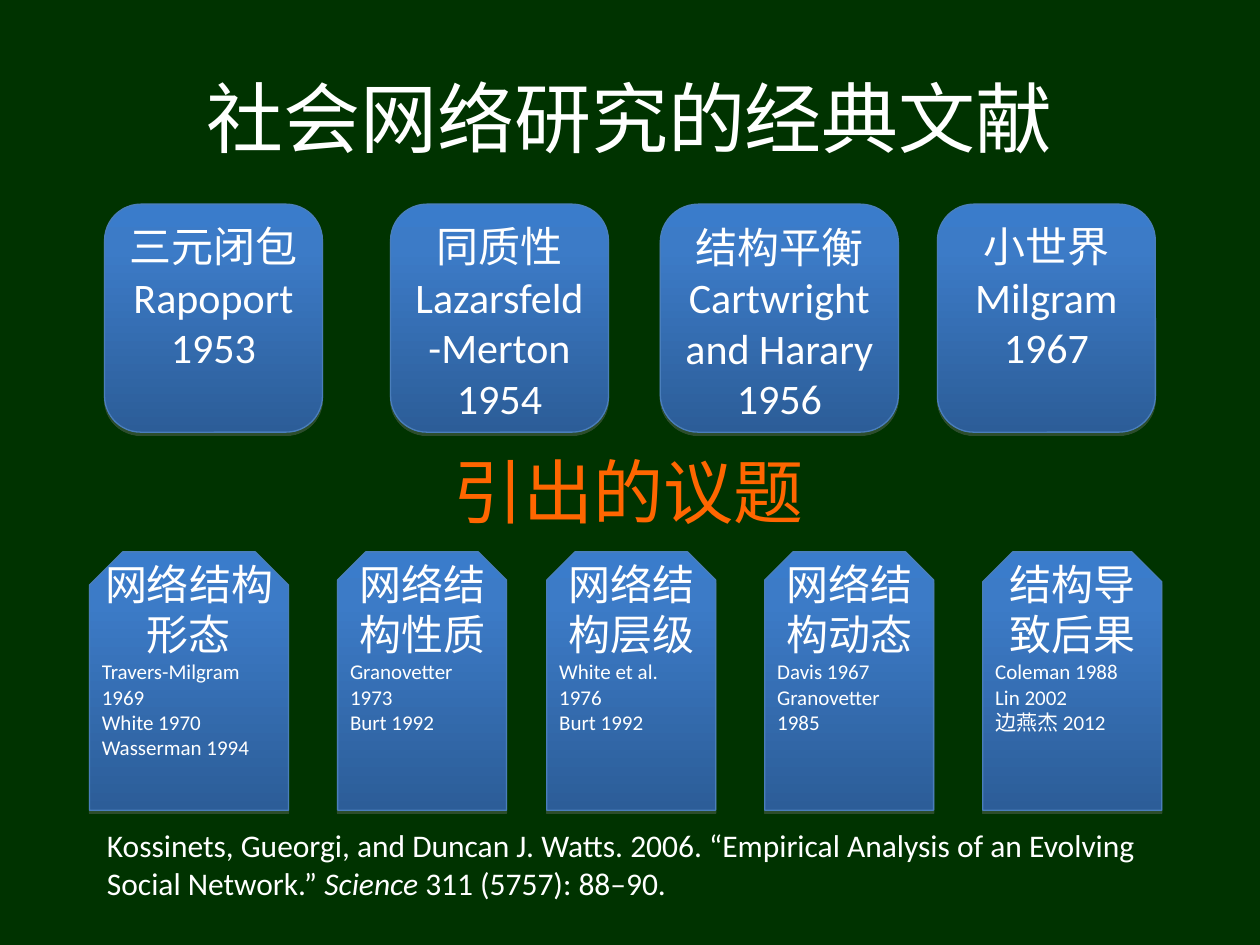
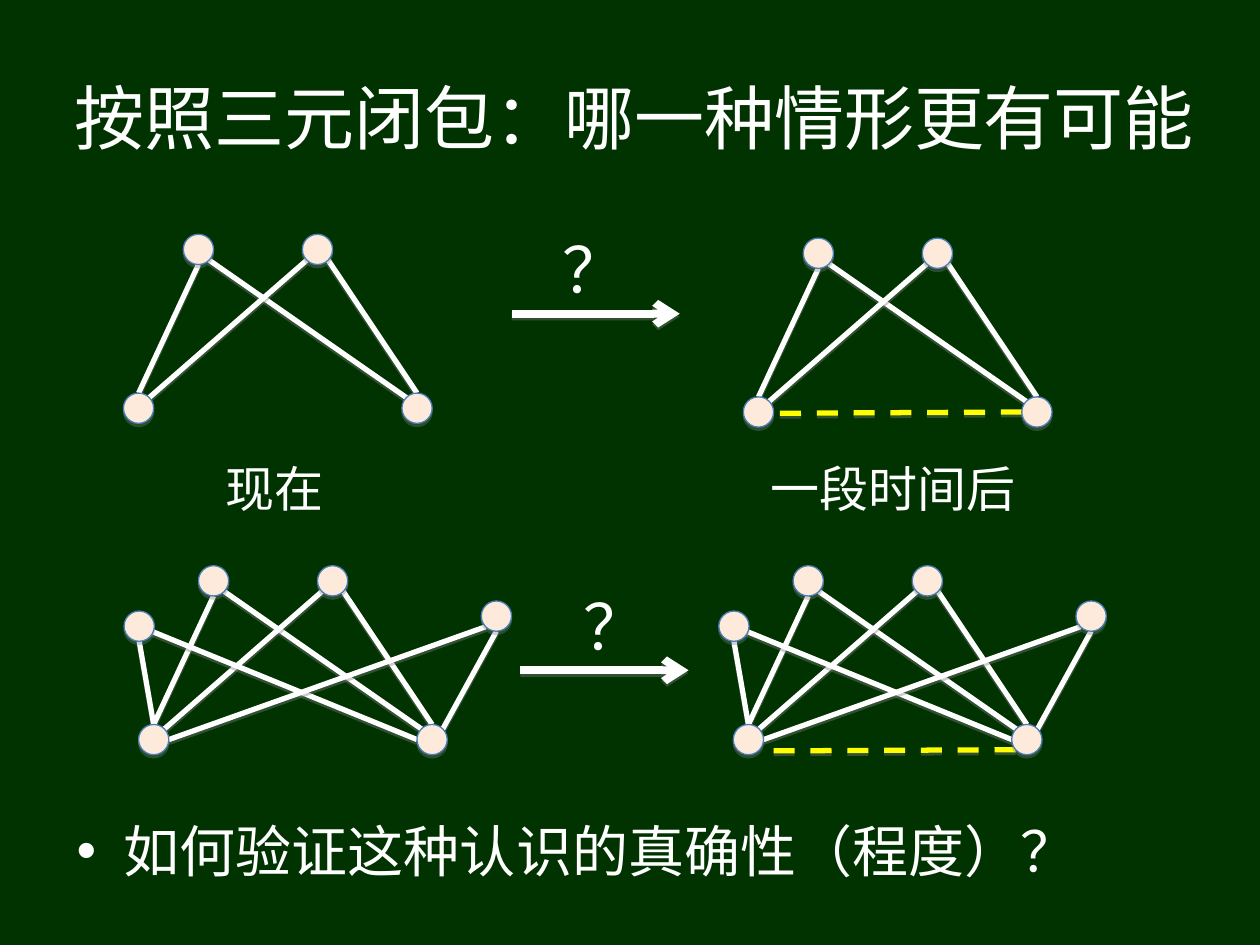
"""Build two slides on classic social network literature and triadic closure."""
from dataclasses import dataclass
from typing import NamedTuple, Optional

from pptx import Presentation
from pptx.dml.color import RGBColor
from pptx.enum.dml import MSO_LINE
from pptx.enum.shapes import MSO_CONNECTOR, MSO_SHAPE
from pptx.enum.text import MSO_ANCHOR, PP_ALIGN
from pptx.oxml import parse_xml
from pptx.oxml.ns import nsdecls, qn
from pptx.util import Emu, Inches, Pt

COLUMNS, ROWS = 100, 75
SLIDE_WIDTH, SLIDE_HEIGHT = Inches(10), Inches(7.5)
UNIT = SLIDE_WIDTH / COLUMNS

GREEN, WHITE, ORANGE, YELLOW = "003300", "FFFFFF", "FF6600", "FFFF00"
NODE_FILL, OUTLINE, SHADOW = "FDEADA", "4A7EBB", "808080"
CARD_GRADIENT = ((0, "3A7CCB"), (20, "3C7BC7"), (100, "2C5D98"))
CHINESE, LATIN, PLAIN = "Noto Sans CJK SC", "Calibri", "Arial"

NODE_SIZE = 2.4
CARD_TOP, CARD_HEIGHT = 16.2, 18.1
TOPIC_TOP, TOPIC_HEIGHT = 43.8, 20.5


class Box(NamedTuple):
    left: float
    top: float
    width: float
    height: float


class Run(NamedTuple):
    text: str
    size: float
    font: str = CHINESE
    color: str = WHITE
    italic: bool = False


@dataclass
class Line:
    runs: list[Run]
    align: PP_ALIGN = PP_ALIGN.LEFT
    bullet: bool = False


class Pioneer(NamedTuple):
    left: float
    width: float
    idea: str
    work: str
    same_paragraph: bool = False


class Topic(NamedTuple):
    left: float
    width: float
    heading: str
    works: tuple[str, ...]


class Edge(NamedTuple):
    start: str
    start_side: str
    end: str
    end_side: str


class Closure(NamedTuple):
    x1: float
    y1: float
    x2: float
    y2: float


class Network(NamedTuple):
    left: float
    top: float
    friends: int
    closure: Optional[Closure] = None


class Step(NamedTuple):
    left: float
    top: float
    mark_left: float


PIONEERS = (
    Pioneer(8.3, 17.3, "三元闭包", "Rapoport 1953"),
    Pioneer(31, 17.3, "同质性", "Lazarsfeld-Merton 1954"),
    Pioneer(52.4, 18.9, "结构平衡", "Cartwright and Harary 1956", True),
    Pioneer(74.4, 17.3, "小世界", " Milgram 1967", True),
)
TOPICS = (
    Topic(7.1, 15.8, "网络结构形态", ("Travers-Milgram 1969", "White 1970", "Wasserman 1994")),
    Topic(26.8, 13.4, "网络结构性质", ("Granovetter 1973", "Burt 1992")),
    Topic(43.4, 13.4, "网络结构层级", ("White et al. 1976", "Burt 1992")),
    Topic(60.7, 13.4, "网络结构动态", ("Davis 1967", "Granovetter 1985")),
    Topic(78, 14.2, "结构导致后果", ("Coleman 1988", "Lin 2002", "边燕杰 2012")),
)
NODES = {
    "left": (0, 0), "right": (22.1, 0),
    "first": (4.75, -12.6), "second": (14.2, -12.6),
    "third": (-1.15, -9), "fourth": (27.2, -9.8),
}
EDGES = (
    Edge("left", "N", "first", "S"), Edge("right", "NW", "first", "SE"),
    Edge("left", "NE", "second", "SW"), Edge("right", "N", "second", "SE"),
    Edge("left", "N", "third", "S"), Edge("right", "W", "third", "C"),
    Edge("left", "E", "fourth", "SW"), Edge("right", "NE", "fourth", "S"),
)
SIDES = {
    "N": (0.5, 0), "S": (0.5, 1), "E": (1, 0.5), "W": (0, 0.5), "C": (0.5, 0.5),
    "NE": (0.85, 0.15), "NW": (0.15, 0.15), "SE": (0.85, 0.85), "SW": (0.15, 0.85),
}
NETWORKS = (
    Network(9.8, 31.2, 2),
    Network(59, 31.5, 2, Closure(22.1, 1.2, 2.8, 1.3)),
    Network(11, 57.5, 4),
    Network(58.2, 57.5, 4, Closure(22.4, 2, 2, 2.1)),
)
STEPS = (Step(40.6, 24.9, 43.7), Step(41.3, 53.2, 45.3))


def grid(units: float) -> Emu:
    """Turn grid units into a length."""
    return Emu(round(units * UNIT))


def color_of(value: str) -> RGBColor:
    """Turn a hex string into a colour."""
    return RGBColor.from_string(value)


def add_shadow(shape, opacity: int, distance: float) -> None:
    """Add a hard grey shadow straight below a finished shape or connector."""
    shape._element.spPr.append(parse_xml(
        f'<a:effectLst {nsdecls("a")}><a:outerShdw blurRad="0" dist="{int(Pt(distance))}" '
        f'dir="5400000" rotWithShape="0"><a:srgbClr val="{SHADOW}">'
        f'<a:alpha val="{opacity * 1000}"/></a:srgbClr></a:outerShdw></a:effectLst>'))


def write(shape, lines: list[Line], anchor=MSO_ANCHOR.TOP, wrap: bool = True) -> None:
    """Write the lines into a shape run by run."""
    frame = shape.text_frame
    frame.word_wrap = wrap
    frame.vertical_anchor = anchor
    for index, line in enumerate(lines):
        paragraph = frame.add_paragraph() if index else frame.paragraphs[0]
        paragraph.alignment = line.align
        if line.bullet:
            properties = paragraph._p.get_or_add_pPr()
            properties.set("marL", str(grid(3.75)))
            properties.set("indent", str(-grid(3.75)))
            properties.append(parse_xml(f'<a:buFont {nsdecls("a")} typeface="{PLAIN}"/>'))
            properties.append(parse_xml(f'<a:buChar {nsdecls("a")} char="•"/>'))
        for item in line.runs:
            run = paragraph.add_run()
            run.text = item.text
            run.font.size = Pt(item.size)
            run.font.name = item.font
            run.font.italic = item.italic
            run.font.color.rgb = color_of(item.color)
            run.font._element.find(qn("a:latin")).addnext(
                parse_xml(f'<a:ea {nsdecls("a")} typeface="{CHINESE}"/>'))


def add_text(slide, box: Box, lines: list[Line], anchor=MSO_ANCHOR.TOP, wrap: bool = True) -> None:
    """Add a text box."""
    write(slide.shapes.add_textbox(*map(grid, box)), lines, anchor, wrap)


def add_title(slide, text: str, size: float, left: float, width: float) -> None:
    """Add the centred slide title."""
    add_text(slide, Box(left, 3, width, 12.5), [Line([Run(text, size)], PP_ALIGN.CENTER)],
             MSO_ANCHOR.MIDDLE)


def style_outline(shape) -> None:
    """Give a shape the shared thin outline and shadow."""
    shape.line.color.rgb = color_of(OUTLINE)
    shape.line.width = Pt(0.75)
    add_shadow(shape, 35, 1.8)


def style_card(shape) -> None:
    """Give a card the shared outline and blue gradient."""
    style_outline(shape)
    stops = "".join(f'<a:gs pos="{position * 1000}"><a:srgbClr val="{value}"/></a:gs>'
                    for position, value in CARD_GRADIENT)
    shape._element.spPr.find(qn("a:ln")).addprevious(parse_xml(
        f'<a:gradFill {nsdecls("a")} rotWithShape="1"><a:gsLst>{stops}</a:gsLst>'
        '<a:lin ang="5400000" scaled="0"/></a:gradFill>'))


def add_pioneer(slide, pioneer: Pioneer) -> None:
    """Add a rounded card for a founding study."""
    box = Box(pioneer.left, CARD_TOP, pioneer.width, CARD_HEIGHT)
    card = slide.shapes.add_shape(MSO_SHAPE.ROUNDED_RECTANGLE, *map(grid, box))
    style_card(card)
    idea, work = Run(pioneer.idea, 24), Run(pioneer.work, 24, LATIN)
    groups = [[idea, work]] if pioneer.same_paragraph else [[idea], [work]]
    write(card, [Line(runs, PP_ALIGN.CENTER) for runs in groups])


def add_topic(slide, topic: Topic) -> None:
    """Add a card with two snipped corners for a research topic."""
    left, right = topic.left, topic.left + topic.width
    bottom, snip = TOPIC_TOP + TOPIC_HEIGHT, topic.width / 6
    builder = slide.shapes.build_freeform(grid(left + snip), grid(TOPIC_TOP))
    corners = ((right - snip, TOPIC_TOP), (right, TOPIC_TOP + snip), (right, bottom),
               (left, bottom), (left, TOPIC_TOP + snip))
    builder.add_line_segments([(grid(x), grid(y)) for x, y in corners], close=True)
    card = builder.convert_to_shape()
    style_card(card)
    write(card, [Line([Run(topic.heading, 24)], PP_ALIGN.CENTER)]
          + [Line([Run(work, 12, LATIN)]) for work in topic.works])


def add_link(slide, start: tuple[float, float], end: tuple[float, float], color: str = WHITE,
             width: float = 3, dashed: bool = False, arrow: bool = False) -> None:
    """Add a straight line with a shadow."""
    link = slide.shapes.add_connector(MSO_CONNECTOR.STRAIGHT, *map(grid, (*start, *end)))
    link.line.color.rgb = color_of(color)
    link.line.width = Pt(width)
    if dashed:
        link.line.dash_style = MSO_LINE.DASH
    if arrow:
        link._element.spPr.find(qn("a:ln")).append(
            parse_xml(f'<a:tailEnd {nsdecls("a")} type="arrow"/>'))
    add_shadow(link, 38, 1.6)


def add_network(slide, network: Network) -> None:
    """Add two people, their common friends and the closing link."""
    names = list(NODES)[:network.friends + 2]
    places = {name: (network.left + NODES[name][0], network.top + NODES[name][1])
              for name in names}

    def site(name: str, side: str) -> tuple[float, float]:
        """Find the point on one side of a node."""
        x, y = places[name]
        return x + SIDES[side][0] * NODE_SIZE, y + SIDES[side][1] * NODE_SIZE

    for edge in EDGES[:network.friends * 2]:
        add_link(slide, site(edge.start, edge.start_side), site(edge.end, edge.end_side))
    if network.closure:
        x1, y1, x2, y2 = network.closure
        add_link(slide, (network.left + x1, network.top + y1),
                 (network.left + x2, network.top + y2), YELLOW, dashed=True)
    for x, y in places.values():
        node = slide.shapes.add_shape(MSO_SHAPE.OVAL, *map(grid, (x, y, NODE_SIZE, NODE_SIZE)))
        node.fill.solid()
        node.fill.fore_color.rgb = color_of(NODE_FILL)
        style_outline(node)


def build_literature(slide) -> None:
    """Draw the slide on classic literature."""
    add_title(slide, "社会网络研究的经典文献", 44, 5, 90)
    add_text(slide, Box(35, 35.1, 30.1, 7.7), [Line([Run("引出的议题", 40, PLAIN, ORANGE)])],
             wrap=False)
    for topic in TOPICS:
        add_topic(slide, topic)
    for pioneer in PIONEERS:
        add_pioneer(slide, pioneer)
    add_text(slide, Box(7.5, 65.1, 84.8, 7.1), [
        Line([Run("Kossinets, Gueorgi, and Duncan J. Watts. 2006. “Empirical Analysis of an Evolving",
                  18, LATIN)]),
        Line([Run("Social Network.” ", 18, LATIN), Run("Science", 18, LATIN, italic=True),
              Run(" 311 (5757): 88–90.", 18, LATIN)]),
    ], wrap=False)


def build_closure(slide) -> None:
    """Draw the slide on triadic closure."""
    add_title(slide, "按照三元闭包：哪一种情形更有可能", 40, 3.5, 93.7)
    add_text(slide, Box(5.1, 64.3, 90, 5.9),
             [Line([Run("如何验证这种认识的真确性（程度）？", 32)], bullet=True)])
    for network in NETWORKS:
        add_network(slide, network)
    for step in STEPS:
        add_link(slide, (step.left, step.top), (step.left + 13.35, step.top), width=4.5, arrow=True)
        add_text(slide, Box(step.mark_left, step.top - 7.1, 4.7, 7.1),
                 [Line([Run("？", 36, PLAIN)])])
    for left, width, caption in ((16.9, 11.8, "现在"), (60.2, 22, "一段时间后")):
        add_text(slide, Box(left, 35.9, width, 5.7), [Line([Run(caption, 28)])])


def main() -> None:
    """Build and save the presentation."""
    presentation = Presentation()
    presentation.slide_width, presentation.slide_height = SLIDE_WIDTH, SLIDE_HEIGHT
    background = presentation.slide_master.background.fill
    background.solid()
    background.fore_color.rgb = color_of(GREEN)
    for build in (build_literature, build_closure):
        build(presentation.slides.add_slide(presentation.slide_layouts[6]))
    presentation.save("out.pptx")


if __name__ == "__main__":
    main()
